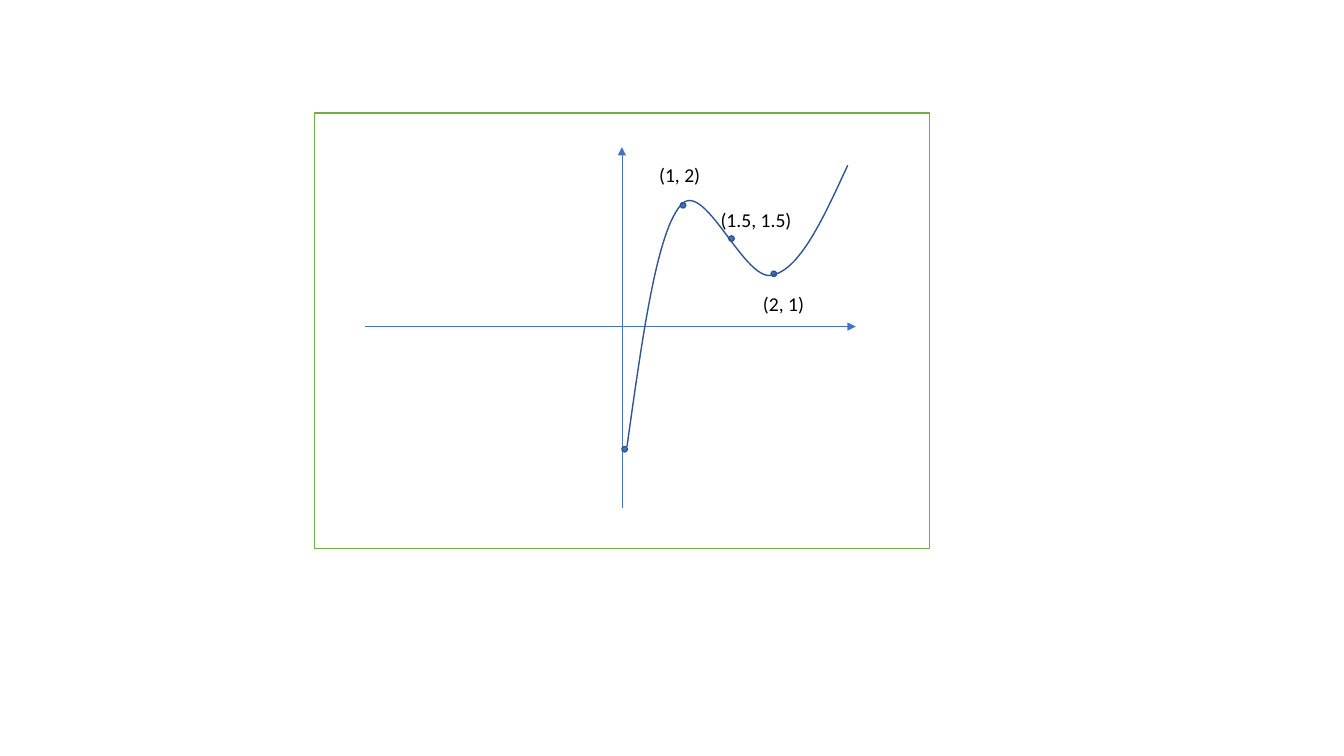
from dataclasses import dataclass

from lxml import etree
from pptx import Presentation
from pptx import util as u
from pptx.dml.color import RGBColor
from pptx.enum import shapes, text
from pptx.oxml import ns

COLUMNS, ROWS = 40, 22.5
BLANK_LAYOUT = 6


@dataclass(frozen=True)
class Theme:
    font: str = "Calibri"
    label_size: float = 14
    ink: str = "000000"
    paper: str = "FFFFFF"
    frame: str = "70AD47"
    axis: str = "4472C4"
    curve: str = "325491"
    line_width: float = 1
    axis_width: float = 0.5


class GraphSlide:
    """Draws one grouped graph; all lengths are grid columns and rows."""

    def __init__(self, presentation, theme):
        self.theme = theme
        self.column = presentation.slide_width / COLUMNS
        self.row = presentation.slide_height / ROWS
        layout = presentation.slide_layouts[BLANK_LAYOUT]
        self.slide = presentation.slides.add_slide(layout)
        self.shapes = self.slide.shapes.add_group_shape().shapes

    def place(self, column, row):
        return round(column * self.column), round(row * self.row)

    def outline(self, shape, color, width):
        shape.line.color.rgb = RGBColor.from_string(color)
        shape.line.width = u.Pt(width)

    def box(self, kind, position, size, fill, line):
        shape = self.shapes.add_shape(kind, *self.place(*position), *self.place(*size))
        shape.shadow.inherit = False
        shape.fill.solid()
        shape.fill.fore_color.rgb = RGBColor.from_string(fill)
        self.outline(shape, line, self.theme.line_width)

    def frame(self, position, size):
        self.box(shapes.MSO_SHAPE.RECTANGLE, position, size,
                 self.theme.paper, self.theme.frame)

    def dot(self, center, diameter=0.16):
        corner = [value - diameter / 2 for value in center]
        self.box(shapes.MSO_SHAPE.OVAL, corner, (diameter, diameter),
                 self.theme.axis, self.theme.curve)

    def axis(self, start, end):
        connector = self.shapes.add_connector(
            shapes.MSO_CONNECTOR.STRAIGHT, *self.place(*start), *self.place(*end))
        self.outline(connector, self.theme.axis, self.theme.axis_width)
        etree.SubElement(connector.line._get_or_add_ln(), ns.qn("a:tailEnd"),
                         type="triangle")
        etree.SubElement(connector._element.spPr, ns.qn("a:effectLst"))

    def label(self, wording, position, width, height=1.02):
        shape = self.shapes.add_textbox(*self.place(*position), *self.place(width, height))
        frame = shape.text_frame
        frame.word_wrap = True
        frame.auto_size = text.MSO_AUTO_SIZE.SHAPE_TO_FIT_TEXT
        frame.text = wording
        font = frame.paragraphs[0].runs[0].font
        font.name = self.theme.font
        font.size = u.Pt(self.theme.label_size)
        font.color.rgb = RGBColor.from_string(self.theme.ink)

    def curve(self, start, segments, steps=30):
        points, previous = [], start
        for first, second, end in segments:
            for step in range(1, steps + 1):
                t = step / steps
                weights = ((1 - t) ** 3, 3 * t * (1 - t) ** 2, 3 * t * t * (1 - t), t ** 3)
                controls = (previous, first, second, end)
                points.append(self.place(*(
                    sum(weight * control[axis] for weight, control in zip(weights, controls))
                    for axis in (0, 1))))
            previous = end
        builder = self.shapes.build_freeform(*self.place(*start))
        builder.add_line_segments(points, close=False)
        shape = builder.convert_to_shape()
        shape.shadow.inherit = False
        shape.fill.background()
        self.outline(shape, self.theme.curve, self.theme.line_width)


def main():
    presentation = Presentation()
    presentation.slide_width, presentation.slide_height = u.Inches(13.33), u.Inches(7.5)
    graph = GraphSlide(presentation, Theme())

    # Frame and axes
    origin_column, origin_row = 18.51, 9.72
    graph.frame((9.36, 3.36), (18.3, 12.96))
    graph.axis((10.86, origin_row), (25.47, origin_row))
    graph.axis((origin_column, 15.12), (origin_column, 4.38))

    # Marked points
    for center in ((20.33, 6.11), (23.03, 8.15), (18.59, 13.37), (21.77, 7.1)):
        graph.dot(center)

    # Coordinates
    for wording, position, width in (
        ("(1, 2)", (19.32, 4.71), 2.19),
        ("(2, 1)", (22.41, 8.55), 2.7),
        ("(1.5, 1.5)", (21.15, 6.03), 2.85),
    ):
        graph.label(wording, position, width)

    # Cubic curve
    graph.curve((18.66, 13.29), (
        ((19.11, 10.11), (19.53, 6.96), (20.25, 6.12)),
        ((20.94, 5.25), (22.14, 8.4), (22.98, 8.19)),
        ((23.82, 8.01), (24.51, 6.48), (25.23, 4.92)),
    ))

    presentation.save("out.pptx")


if __name__ == "__main__":
    main()
